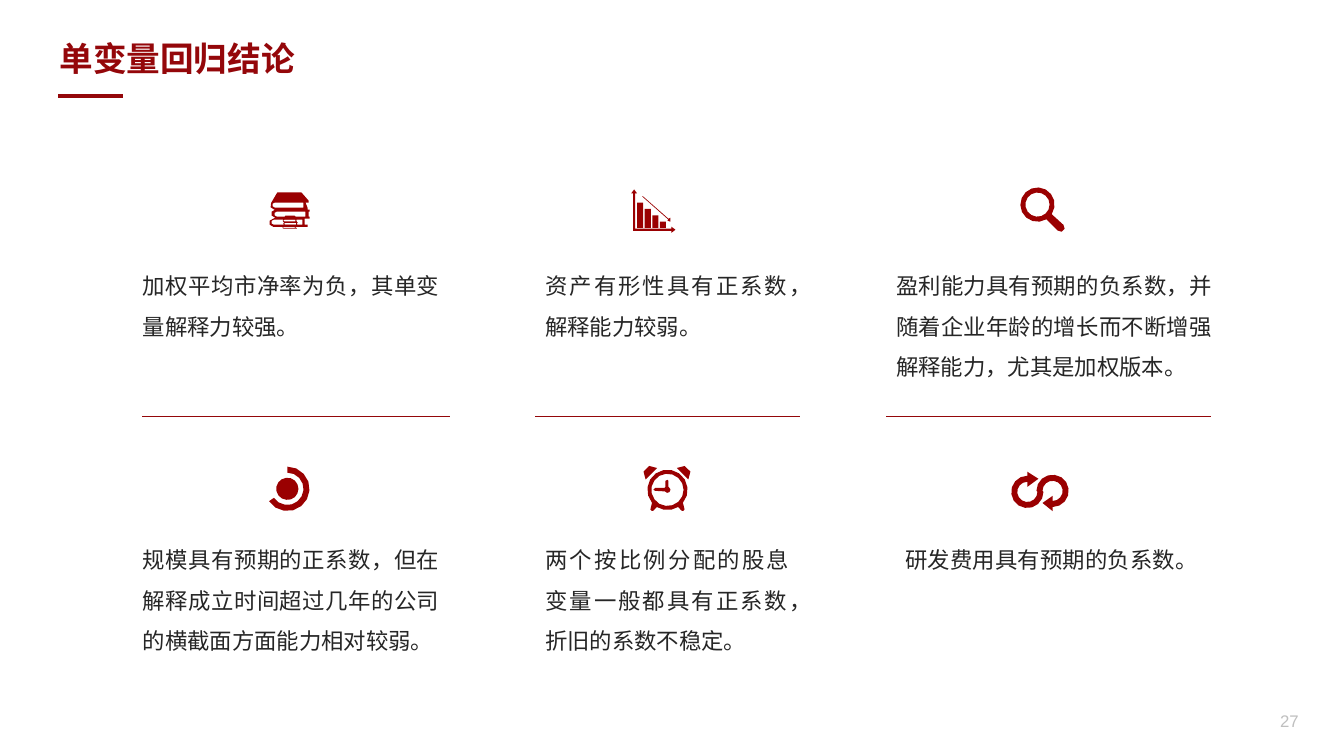
from dataclasses import dataclass
from math import cos, radians, sin

from lxml import etree
from pptx import Presentation
from pptx.dml.color import RGBColor
from pptx.enum.shapes import MSO_CONNECTOR
from pptx.enum.text import MSO_ANCHOR, MSO_AUTO_SIZE, PP_ALIGN
from pptx.oxml.ns import qn
from pptx.slide import Slide
from pptx.text.text import TextFrame
from pptx.util import Inches, Pt

STRAIGHT = MSO_CONNECTOR.STRAIGHT
TOP, MIDDLE = MSO_ANCHOR.TOP, MSO_ANCHOR.MIDDLE
FIT_SHAPE, NO_FIT = MSO_AUTO_SIZE.SHAPE_TO_FIT_TEXT, MSO_AUTO_SIZE.NONE
LEFT, RIGHT, JUSTIFY = PP_ALIGN.LEFT, PP_ALIGN.RIGHT, PP_ALIGN.JUSTIFY
UNITS_PER_INCH = 1000

Point = tuple[float, float]
Contour = list[Point]


@dataclass(frozen=True)
class TextStyle:
    font: str
    size: float
    color: RGBColor
    align: PP_ALIGN
    bold: bool = False
    line_spacing: float = 1.0


@dataclass(frozen=True)
class Theme:
    accent: RGBColor = RGBColor(0x94, 0x07, 0x0A)
    icon: RGBColor = RGBColor(0x9A, 0x00, 0x01)
    title: TextStyle = TextStyle("Noto Sans CJK SC", 24, RGBColor(0x94, 0x07, 0x0A), LEFT, True)
    body: TextStyle = TextStyle("Noto Sans CJK SC", 16, RGBColor(0x26, 0x26, 0x26), JUSTIFY, False, 1.5)
    page: TextStyle = TextStyle("Arial", 12, RGBColor(0xBF, 0xBF, 0xBF), RIGHT)


@dataclass(frozen=True)
class Conclusion:
    text: str
    left: float
    top: float
    width: float
    height: float


@dataclass(frozen=True)
class Rule:
    left: float
    right: float
    top: float
    weight: float


THEME = Theme()
UPPER, LOWER = 2.52, 5.24
CONCLUSIONS = [
    Conclusion("加权平均市净率为负，其单变量解释力较强。", 1.32, UPPER, 3.14, 0.86),
    Conclusion("资产有形性具有正系数，解释能力较弱。", 5.31, UPPER, 2.62, 0.86),
    Conclusion("盈利能力具有预期的负系数，并随着企业年龄的增长而不断增强解释能力，尤其是加权版本。",
               8.79, UPPER, 3.33, 1.27),
    Conclusion("规模具有预期的正系数，但在解释成立时间超过几年的公司的横截面方面能力相对较弱。",
               1.32, LOWER, 3.14, 1.27),
    Conclusion("两个按比例分配的股息变量一般都具有正系数，折旧的系数不稳定。", 5.31, LOWER, 2.62, 1.27),
    Conclusion("研发费用具有预期的负系数。", 8.88, LOWER, 2.88, 0.46),
]
RULES = [
    Rule(1.41, 4.46, 4.13, 0.5),
    Rule(5.31, 7.93, 4.13, 0.5),
    Rule(8.79, 12.01, 4.13, 0.5),
    Rule(0.58, 1.22, 0.95, 3),
]


def arc(center: Point, radius: float, start: float, end: float) -> Contour:
    degrees_per_step = 24 if radius >= 0.1 else 60
    steps = max(2, round(abs(end - start) / degrees_per_step))
    angles = [radians(start + (end - start) * i / steps) for i in range(steps + 1)]
    return [(center[0] + radius * cos(a), center[1] + radius * sin(a)) for a in angles]


def circle(center: Point, radius: float) -> Contour:
    return arc(center, radius, 0, 360)[:-1]


def box(left: float, top: float, right: float, bottom: float) -> Contour:
    return [(left, top), (right, top), (right, bottom), (left, bottom)]


def page_edge(left: float, top: float, right: float) -> Contour:
    radius = 0.025
    return arc((left + radius, top + radius), radius, 90, 270) + [(right, top), (right, top + 0.05)]


def books(left: float, top: float, scale: float) -> list[Contour]:
    cover = [(0.08, 0), (0.32, 0), (0.39, 0.08), (0.39, 0.1), (0.36, 0.1),
             (0.38, 0.15), (0.38, 0.17), (0.4, 0.17), (0.4, 0.19), (0.39, 0.19), (0.39, 0.24),
             (0.4, 0.24), (0.4, 0.26), (0.35, 0.26), (0.35, 0.32), (0.38, 0.32), (0.38, 0.34)]
    for center, end in [((0.04, 0.3), 270), ((0.06, 0.21), 270), ((0.05, 0.13), 220)]:
        cover += arc(center, 0.04, 90, end)
    pages = [page_edge(0.03, 0.1, 0.34), page_edge(0.05, 0.19, 0.36), page_edge(0.02, 0.27, 0.33)]
    return [[(left + x * scale, top + y * scale) for x, y in contour] for contour in [cover, *pages]]


def falling_chart() -> list[Contour]:
    bars = [box(6.32 + 0.075 * i, 2.01 + 0.063 * i, 6.38 + 0.075 * i, 2.26) for i in range(4)]
    trend = [(6.38, 1.95), (6.63, 2.17), (6.65, 2.16), (6.65, 2.2), (6.62, 2.19), (6.63, 2.18), (6.37, 1.95)]
    axes = [(6.29, 1.88), (6.32, 1.92), (6.3, 1.92), (6.3, 2.27), (6.66, 2.27), (6.66, 2.25),
            (6.7, 2.28), (6.66, 2.31), (6.66, 2.29), (6.28, 2.29), (6.28, 1.92), (6.26, 1.92)]
    return [*bars, trend, axes]


def magnifier() -> list[Contour]:
    lens = (10.29, 2.03)
    return [arc(lens, 0.17, 59, 394) + arc((10.52, 2.26), 0.04, -45, 135), circle(lens, 0.12)]


def ringed_dot() -> list[Contour]:
    dot = (2.85, 4.85)
    return [circle(dot, 0.11), arc(dot, 0.22, -90, 146) + arc(dot, 0.16, 146, -90)]


def alarm_clock() -> list[Contour]:
    face = (6.62, 4.86)
    case = (arc(face, 0.2, 140, 400) + arc((6.77, 5.05), 0.02, -35, 125)
            + arc(face, 0.2, 58, 122) + arc((6.47, 5.05), 0.02, 55, 215))
    hands = ([(6.6, 4.83), (6.6, 4.77), (6.62, 4.76), (6.63, 4.77), (6.63, 4.83)]
             + arc(face, 0.03, -60, 150) + [(6.5, 4.87), (6.48, 4.86), (6.5, 4.84), (6.59, 4.84)])
    bells = [arc((6.46, 4.7), 0.08, 135, 315), arc((6.77, 4.7), 0.08, -135, 45)]
    return [case, circle(face, 0.16), hands, *bells]


def infinity_loop() -> list[Contour]:
    left, right = (10.19, 4.88), (10.44, 4.87)
    outer, inner = 0.16, 0.1
    return [arc(left, outer, -90, -360) + arc(right, inner, 180, 450)
            + [(10.44, 4.92), (10.34, 4.99), (10.44, 5.07)]
            + arc(right, outer, 90, -180) + arc(left, inner, 0, 270)
            + [(10.19, 4.83), (10.3, 4.75), (10.19, 4.68)]]


def draw_icon(slide: Slide, contours: list[Contour]) -> None:
    scaled = [[(x * UNITS_PER_INCH, y * UNITS_PER_INCH) for x, y in contour] for contour in contours]
    builder = slide.shapes.build_freeform(*scaled[0][0], scale=Inches(1) / UNITS_PER_INCH)
    builder.add_line_segments(scaled[0][1:], close=True)
    for contour in scaled[1:]:
        builder.move_to(*contour[0])
        builder.add_line_segments(contour[1:], close=True)
    icon = builder.convert_to_shape()
    icon.shadow.inherit = False
    icon.fill.solid()
    icon.fill.fore_color.rgb = THEME.icon
    icon.line.fill.background()


def draw_rule(slide: Slide, rule: Rule) -> None:
    line = slide.shapes.add_connector(
        STRAIGHT, Inches(rule.left), Inches(rule.top), Inches(rule.right), Inches(rule.top))
    line.line.color.rgb = THEME.accent
    line.line.width = Pt(rule.weight)
    etree.SubElement(line._element.spPr, qn("a:effectLst"))


def write(frame: TextFrame, text: str, style: TextStyle, anchor: MSO_ANCHOR = TOP,
          fit: MSO_AUTO_SIZE = FIT_SHAPE) -> None:
    frame.word_wrap = True
    frame.auto_size = fit
    frame.vertical_anchor = anchor
    paragraph = frame.paragraphs[0]
    paragraph.alignment = style.align
    paragraph.line_spacing = style.line_spacing
    run = paragraph.add_run()
    run.text = text
    run.font.name = style.font
    run.font.size = Pt(style.size)
    run.font.bold = style.bold
    run.font.color.rgb = style.color
    etree.SubElement(run.font._element, qn("a:ea"), typeface=style.font)


def main() -> None:
    deck = Presentation()
    deck.slide_width, deck.slide_height = Inches(13.33), Inches(7.5)
    slide = deck.slides.add_slide(deck.slide_layouts[5])

    title = slide.shapes.title
    title.left, title.top, title.width, title.height = Inches(0.49), Inches(0.33), Inches(5.04), Inches(0.5)
    write(title.text_frame, "单变量回归结论", THEME.title)

    for item in CONCLUSIONS:
        conclusion = slide.shapes.add_textbox(
            Inches(item.left), Inches(item.top), Inches(item.width), Inches(item.height))
        write(conclusion.text_frame, item.text, THEME.body)

    for contours in [books(2.67, 1.91, 1), books(2.8, 2.14, 0.38), falling_chart(), magnifier(),
                     ringed_dot(), alarm_clock(), infinity_loop()]:
        draw_icon(slide, contours)
    for rule in RULES:
        draw_rule(slide, rule)

    page_number = slide.shapes.add_textbox(Inches(9.98), Inches(6.95), Inches(3), Inches(0.4))
    write(page_number.text_frame, "27", THEME.page, MIDDLE, NO_FIT)
    deck.save("out.pptx")


if __name__ == "__main__":
    main()
